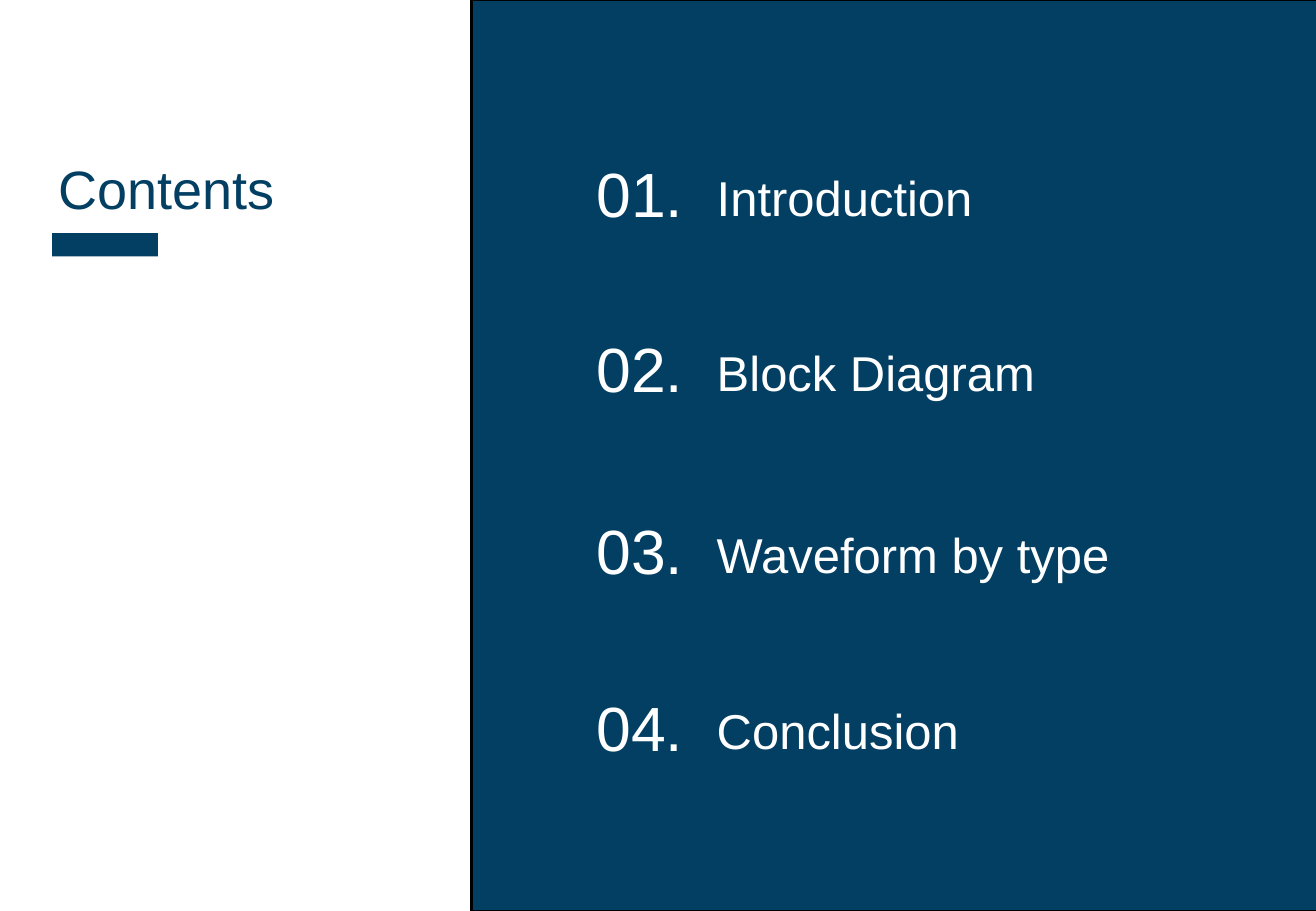
from pptx import Presentation
from pptx.dml.color import RGBColor
from pptx.enum.shapes import MSO_SHAPE
from pptx.util import Pt

RECTANGLE = MSO_SHAPE.RECTANGLE
EMU_PER_PX = 9144  # 100 px to the inch
SLIDE_SIZE = (1083, 750)
NAVY, WHITE, BLACK = "033F63", "FFFFFF", "000000"

# Each topic with its top edge inside the panel
TOPICS = [
    ("Introduction", 123),
    ("Block Diagram", 267),
    ("Waveform by type", 417),
    ("Conclusion", 562),
]


def px(length):
    return length * EMU_PER_PX


def color(hex_value):
    return RGBColor.from_string(hex_value)


def add_block(slide, box, fill, outline=None):
    block = slide.shapes.add_shape(RECTANGLE, *map(px, box))
    block.shadow.inherit = False
    block.fill.solid()
    block.fill.fore_color.rgb = color(fill)
    if outline:
        block.line.color.rgb = color(outline)
        block.line.width = Pt(1.5)
    else:
        block.line.fill.background()


def add_label(slide, box, text, size, text_color):
    label = slide.shapes.add_textbox(*map(px, box))
    label.text_frame.word_wrap = True
    run = label.text_frame.paragraphs[0].add_run()
    run.text = text
    for attribute, value in {"name": "Arial", "size": Pt(size)}.items():
        setattr(run.font, attribute, value)
    run.font.color.rgb = color(text_color)


def add_heading(slide, box):
    left, top, width, height = box
    add_label(slide, (left, top, width, height), "Contents", 32, NAVY)
    # Accent bar under the heading
    add_block(slide, (left + 5, top + 69, 87, 19), NAVY)


def add_topic_panel(slide, box):
    left, top, _, _ = box
    add_block(slide, box, NAVY, BLACK)
    # Numbered topics
    for number, (topic, offset) in enumerate(TOPICS, start=1):
        row_top = top + offset
        add_label(slide, (left + 192, row_top + 10, 359, 57), topic, 29, WHITE)
        add_label(slide, (left + 93, row_top, 145, 71), f"{number:02}.", 37, WHITE)


def main():
    deck = Presentation()
    deck.slide_width, deck.slide_height = map(px, SLIDE_SIZE)
    slide = deck.slides.add_slide(deck.slide_layouts[6])
    add_topic_panel(slide, (388, 0, 820, 750))
    add_heading(slide, (38, 123, 323, 63))
    deck.save("out.pptx")


if __name__ == "__main__":
    main()
